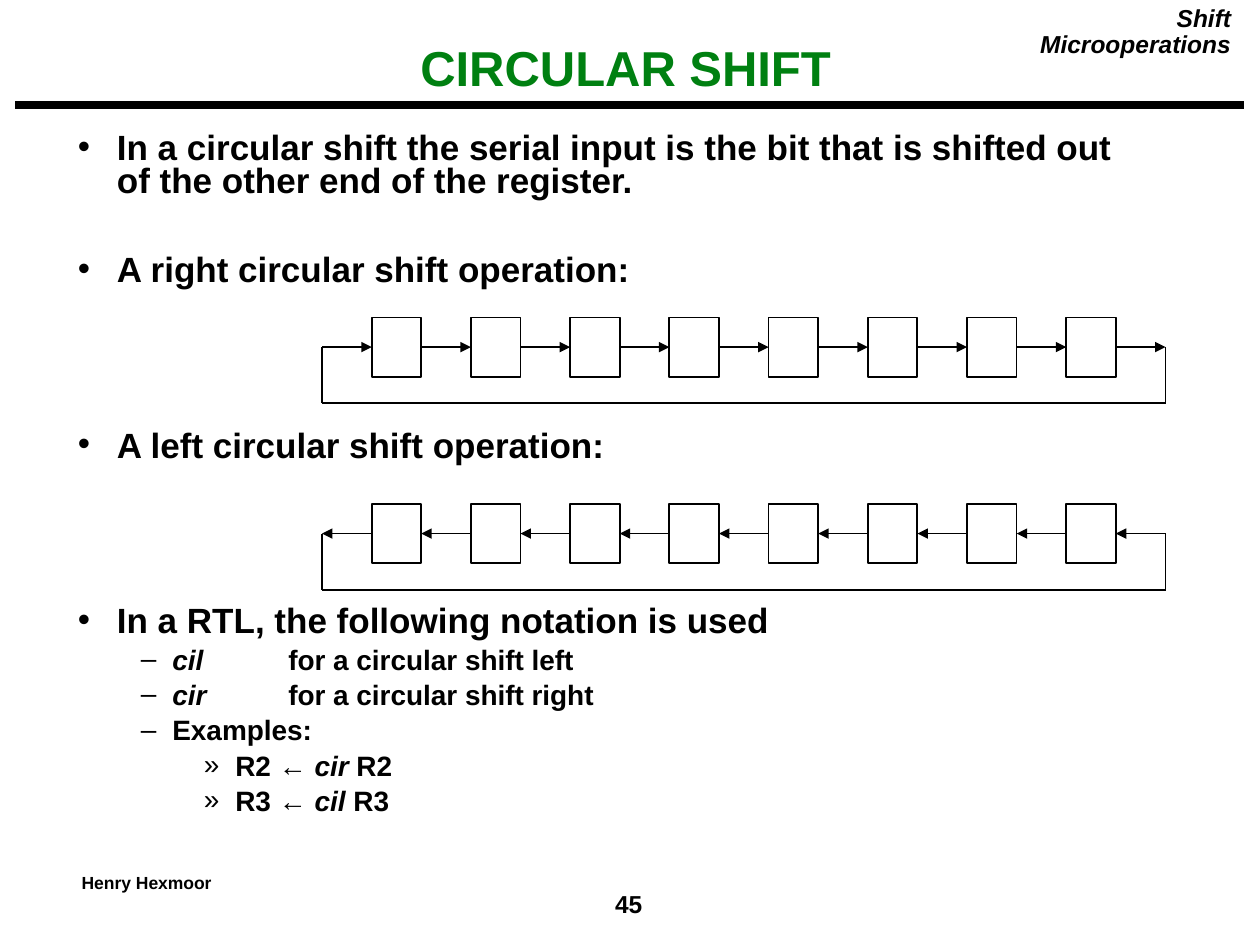
from lxml import etree
from pptx import Presentation
from pptx.dml.color import RGBColor
from pptx.enum.shapes import MSO_CONNECTOR, MSO_SHAPE
from pptx.enum.text import MSO_ANCHOR, PP_ALIGN
from pptx.oxml.ns import qn
from pptx.util import Inches, Pt

LEFT, CENTER, RIGHT = PP_ALIGN.LEFT, PP_ALIGN.CENTER, PP_ALIGN.RIGHT
MIDDLE, TOP = MSO_ANCHOR.MIDDLE, MSO_ANCHOR.TOP
STRAIGHT, RECTANGLE = MSO_CONNECTOR.STRAIGHT, MSO_SHAPE.RECTANGLE
BLACK = RGBColor(0x00, 0x00, 0x00)
GREEN = RGBColor(0x00, 0x80, 0x11)
FONT = "Arial"
TITLE_ONLY = 5

# Register grid: a cell and the gap after it are each half a pitch
CELLS = 8
REGISTER_LEFT, REGISTER_WIDTH = 2.95, 6.3
CELL_WIDTH = REGISTER_WIDTH / CELLS / 2
CELL_HEIGHT = 0.47
LOOP_DEPTH = 0.68

# Per level: bullet, left indent, hanging indent, text size
LEVELS = [("•", 0.31, 0.31, 20), ("–", 0.75, 0.25, 16), ("»", 1.25, 0.25, 16)]
TAB_STOPS = (0.92, 1.67)

# Space before paragraphs, in points
TEXT_GAP, REGISTER_GAP, ITEM_GAP = 31.3, 81.2, 4.8

# Level, space before, spans of (text, italic)
OUTLINE = [
    (0, 0, [("In a circular shift the serial input is the bit that is shifted "
             "out of the other end of the register.", False)]),
    (0, TEXT_GAP, [("A right circular shift operation:", False)]),
    (0, REGISTER_GAP, [("A left circular shift operation:", False)]),
    (0, REGISTER_GAP, [("In a RTL, the following notation is used", False)]),
    (1, ITEM_GAP, [("cil", True), ("\tfor a circular shift left", False)]),
    (1, ITEM_GAP, [("cir", True), ("\tfor a circular shift right", False)]),
    (1, ITEM_GAP, [("Examples:", False)]),
    (2, ITEM_GAP, [("R2 ← ", False), ("cir", True), (" R2", False)]),
    (2, ITEM_GAP, [("R3 ← ", False), ("cil", True), (" R3", False)]),
]


def style_span(span, size, color=BLACK, italic=False):
    span.font.name = FONT
    span.font.size = Pt(size)
    span.font.bold = True
    span.font.italic = italic
    span.font.color.rgb = color


def place(box, left, top, width, height):
    box.left, box.top = Inches(left), Inches(top)
    box.width, box.height = Inches(width), Inches(height)


def set_line(box, text, size, align, color=BLACK, italic=False,
             anchor=TOP, wrap=True, side_margin=0.1):
    """Fill a box with one formatted paragraph."""
    frame = box.text_frame
    frame.text = text
    frame.word_wrap = wrap
    frame.vertical_anchor = anchor
    frame.margin_left = frame.margin_right = Inches(side_margin)
    para = frame.paragraphs[0]
    para.alignment = align
    para.line_spacing = 0.9
    style_span(para.runs[0], size, color, italic)


def add_label(page, area, *args, **options):
    box = page.shapes.add_textbox(*map(Inches, area))
    set_line(box, *args, **options)


def add_line(shapes, start, end, width=1, arrow=False):
    line = shapes.add_connector(STRAIGHT, *map(Inches, (*start, *end)))
    line.line.color.rgb = BLACK
    line.line.width = Pt(width)
    if arrow:
        etree.SubElement(line.line._get_or_add_ln(), qn("a:tailEnd"),
                         type="triangle")
    etree.SubElement(line._element.spPr, qn("a:effectLst"))


def set_bullet(para, level):
    """Give a paragraph its bullet, hanging indent and tab stops."""
    mark, indent, hanging, _ = LEVELS[level]
    para.level = level
    properties = para._p.get_or_add_pPr()
    properties.set("marL", str(Inches(indent)))
    properties.set("indent", str(-Inches(hanging)))
    etree.SubElement(properties, qn("a:buFont"), typeface=FONT)
    etree.SubElement(properties, qn("a:buChar"), char=mark)
    if level == 1:
        stops = etree.SubElement(properties, qn("a:tabLst"))
        for stop in TAB_STOPS:
            etree.SubElement(stops, qn("a:tab"), pos=str(Inches(stop)), algn="l")


def add_outline(page):
    box = page.shapes.add_textbox(*map(Inches, (0.52, 1.01, 8.74, 5.6)))
    frame = box.text_frame
    frame.word_wrap = True
    for index, (level, space, spans) in enumerate(OUTLINE):
        para = frame.add_paragraph() if index else frame.paragraphs[0]
        set_bullet(para, level)
        para.line_spacing = 0.8
        para.space_before = Pt(space)
        for text, italic in spans:
            span = para.add_run()
            span.text = text
            style_span(span, LEVELS[level][3], italic=italic)


def add_register(page, top, to_right):
    """Draw a row of bit cells with shift arrows and the return loop."""
    shapes = page.shapes.add_group_shape().shapes
    middle, bottom = top + CELL_HEIGHT / 2, top + LOOP_DEPTH
    for column in range(CELLS):
        left = REGISTER_LEFT + 2 * column * CELL_WIDTH
        cell = shapes.add_shape(
            RECTANGLE, *map(Inches, (left, top, CELL_WIDTH, CELL_HEIGHT)))
        cell.shadow.inherit = False
        cell.fill.background()
        cell.line.color.rgb = BLACK
        cell.line.width = Pt(1)

    # One arrow in every gap and at both ends
    for gap in range(CELLS + 1):
        right = REGISTER_LEFT + 2 * gap * CELL_WIDTH
        ends = [(right - CELL_WIDTH, middle), (right, middle)]
        start, end = ends if to_right else reversed(ends)
        add_line(shapes, start, end, arrow=True)

    # Return loop
    loop_left = REGISTER_LEFT - CELL_WIDTH
    loop_right = REGISTER_LEFT + REGISTER_WIDTH
    for side in (loop_left, loop_right):
        add_line(shapes, (side, bottom), (side, middle))
    add_line(shapes, (loop_left, bottom), (loop_right, bottom))


def main():
    deck = Presentation()
    deck.slide_width, deck.slide_height = Inches(10), Inches(7.5)
    page = deck.slides.add_slide(deck.slide_layouts[TITLE_ONLY])

    # Page furniture
    add_label(page, (4.79, 7.04, 0.4, 0.29), "45", 14, CENTER,
              anchor=MIDDLE, wrap=False, side_margin=0.03)
    add_line(page.shapes, (0.12, 0.83), (9.87, 0.83), width=4.5)
    add_label(page, (0.55, 6.89, 1.23, 0.25), "Henry Hexmoor", 10, LEFT,
              wrap=False)

    # Title and topic
    title = page.shapes.title
    place(title, 0.16, 0.32, 9.61, 0.48)
    set_line(title, "CIRCULAR SHIFT", 28, CENTER, GREEN, anchor=MIDDLE)
    add_label(page, (7.97, 0, 1.9, 0.5), "Shift Microoperations", 14, RIGHT,
              italic=True)

    # Outline and the two registers
    add_outline(page)
    add_register(page, 2.52, to_right=True)
    add_register(page, 4, to_right=False)

    deck.save("out.pptx")


if __name__ == "__main__":
    main()
